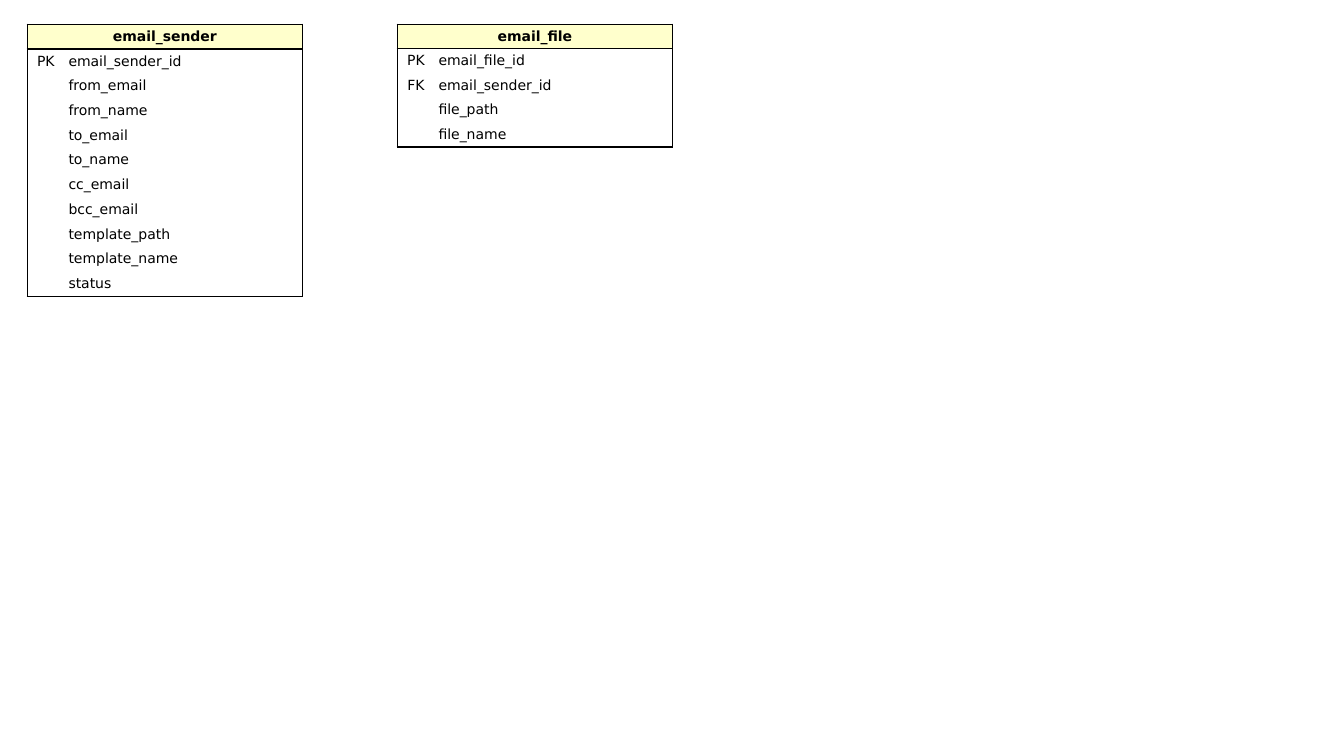
import pptx
import pptx.util
import pptx.dml.color
import pptx.enum.text
import pptx.oxml.ns
import lxml.etree
from pptx.util import Inches

BLACK = pptx.dml.color.RGBColor(0x00, 0x00, 0x00)
WHITE = pptx.dml.color.RGBColor(0xFF, 0xFF, 0xFF)
HEADER = pptx.dml.color.RGBColor(0xFF, 0xFF, 0xCC)
KEY_WIDTH, FIELD_WIDTH = 0.37, 2.36
TOP = 0.24

SENDER_FIELDS = [
    ("PK", "email_sender_id"), ("", "from_email"), ("", "from_name"),
    ("", "to_email"), ("", "to_name"), ("", "cc_email"), ("", "bcc_email"),
    ("", "template_path"), ("", "template_name"), ("", "status"),
]
FILE_FIELDS = [
    ("PK", "email_file_id"), ("FK", "email_sender_id"),
    ("", "file_path"), ("", "file_name"),
]


def add_element(parent, tag, **attributes):
    return lxml.etree.SubElement(parent, pptx.oxml.ns.qn(tag), **attributes)


class Diagram:
    font = "DejaVu Sans"
    size = pptx.util.Pt(10)
    line = pptx.util.Pt(1)
    inset = Inches(0.04)

    def __init__(self, slide):
        self.s = slide

    def borders(self, cell, sides):
        tc_pr = cell._tc.get_or_add_tcPr()
        for side in "LRTB":
            ln = add_element(tc_pr, f"a:ln{side}", w=str(self.line))
            if side in sides:
                fill = add_element(ln, "a:solidFill")
                add_element(fill, "a:srgbClr", val=str(BLACK))
            else:
                add_element(ln, "a:noFill")

    def cell(self, cell, text, sides, fill=WHITE, bold=False, centred=False):
        self.borders(cell, sides)
        cell.fill.solid()
        cell.fill.fore_color.rgb = fill
        cell.margin_left = cell.margin_right = self.inset
        cell.margin_top = cell.margin_bottom = self.inset
        cell.vertical_anchor = pptx.enum.text.MSO_ANCHOR.MIDDLE
        p = cell.text_frame.paragraphs[0]
        if centred:
            p.alignment = pptx.enum.text.PP_ALIGN.CENTER
        p.font.name = self.font
        p.font.size = self.size
        p.font.bold = bold
        p.font.color.rgb = BLACK
        if text:
            p.add_run().text = text
        else:
            end = add_element(p._p, "a:endParaRPr", sz=str(int(self.size.pt * 100)))
            add_element(end, "a:latin", typeface=self.font)

    def entity(self, name, fields, left, height):
        last = len(fields)
        frame = self.s.shapes.add_table(
            last + 1, 2, Inches(left), Inches(TOP),
            Inches(KEY_WIDTH + FIELD_WIDTH), Inches(height))
        table = frame.table
        table.first_row = table.horz_banding = False
        for column, width in zip(table.columns, (KEY_WIDTH, FIELD_WIDTH)):
            column.width = Inches(width)
        for row, texts in enumerate([(name, "")] + fields):
            edges = ("T" if row <= 1 else "") + ("B" if row in (0, last) else "")
            for col, text in enumerate(texts):
                cell = table.cell(row, col)
                if row == 0:
                    self.cell(cell, text, "LRTB", HEADER, bold=True, centred=True)
                else:
                    self.cell(cell, text, edges + "LR"[col], centred=col == 0)
        table.cell(0, 0).merge(table.cell(0, 1))
        return table


prs = pptx.Presentation()
prs.slide_width = Inches(13.33)
prs.slide_height = Inches(7.5)
diagram = Diagram(prs.slides.add_slide(prs.slide_layouts[6]))
sender = diagram.entity("email_sender", SENDER_FIELDS, 0.27, 2.7)
sender.cell(5, 0).merge(sender.cell(6, 0))
diagram.entity("email_file", FILE_FIELDS, 3.94, 1.22)
prs.save("out.pptx")
